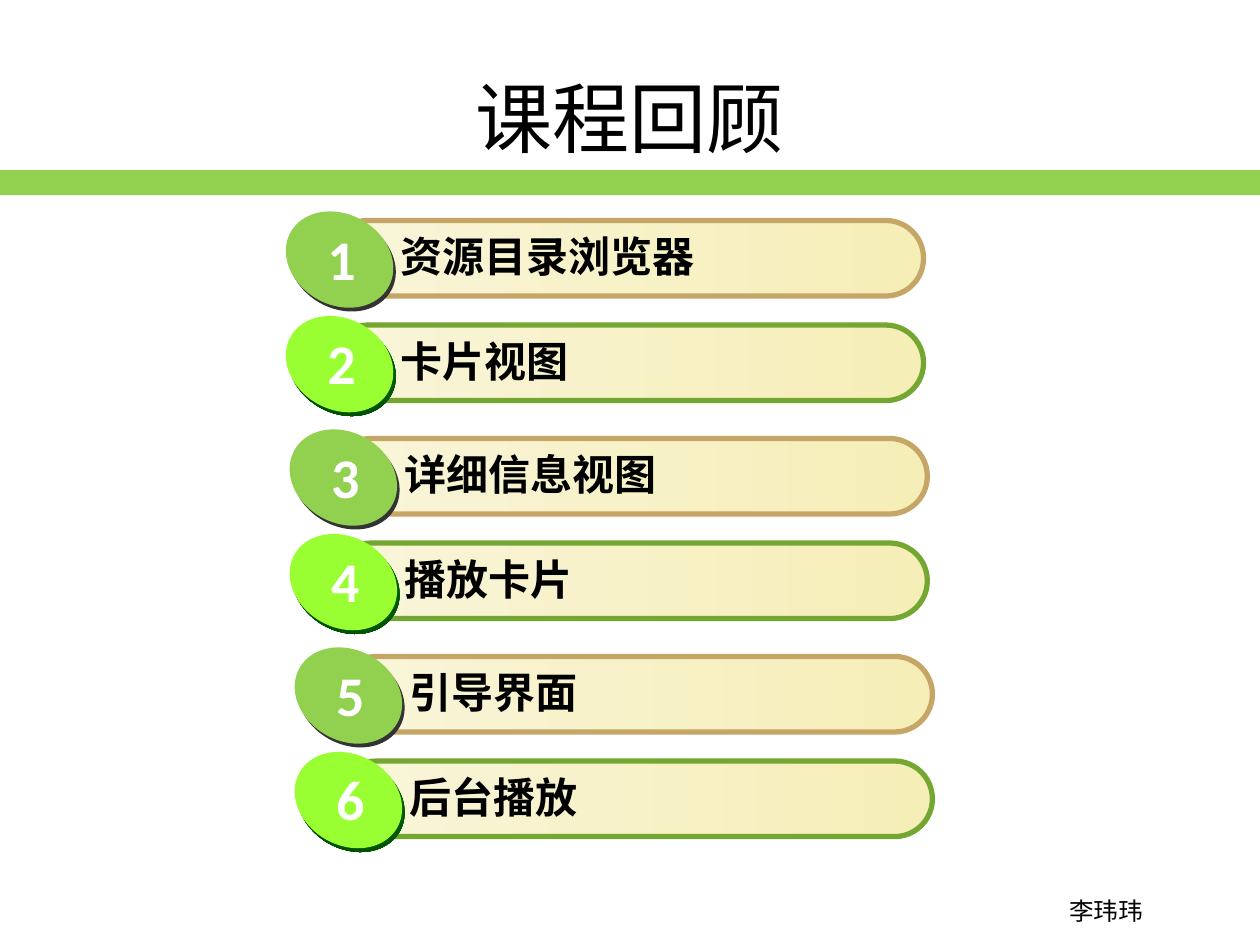
from lxml.etree import SubElement
from pptx import Presentation
from pptx.dml.color import RGBColor
from pptx.enum.shapes import MSO_SHAPE as SHAPE
from pptx.enum.text import MSO_ANCHOR as ANCHOR, MSO_AUTO_SIZE as AUTO, PP_ALIGN as ALIGN
from pptx.oxml.ns import qn
from pptx.util import Inches, Pt

COLORS = {
    "black": "000000", "white": "FFFFFF", "band": "92D050", "lime": "99FF33",
    "tan": "C5A667", "green": "74A731", "shade": "333333",
    "cream": "F9F5D9", "sand": "F5EEB7", "forest": "006600", "pine": "004900",
}
CJK = "Noto Sans CJK SC"


def add_text(parent, box, text, size, color="black", font="Calibri", bold=False,
             align=ALIGN.LEFT, anchor=ANCHOR.TOP, wrap=True):
    tf = parent.add_textbox(*map(Inches, box)).text_frame
    for key, value in {"word_wrap": wrap, "auto_size": AUTO.NONE,
                       "vertical_anchor": anchor}.items():
        setattr(tf, key, value)
    p = tf.paragraphs[0]
    p.alignment = align
    r = p.add_run()
    r.text = text
    for key, value in {"size": Pt(size), "bold": bold, "name": font}.items():
        setattr(r.font, key, value)
    r.font.color.rgb = RGBColor.from_string(COLORS[color])
    SubElement(r.font._element, qn("a:ea"), typeface=CJK)


def add_shape(parent, kind, box, fills, angle=0, line=None, rotation=0):
    s = parent.add_shape(kind, *map(Inches, box))
    s.shadow.inherit = False
    s.rotation = rotation
    if len(fills) == 1:
        s.fill.solid()
        s.fill.fore_color.rgb = RGBColor.from_string(COLORS[fills[0]])
    else:
        s.fill.gradient()
        s.fill.gradient_angle = angle
        for stop, name in zip(s.fill.gradient_stops, fills):
            stop.color.rgb = RGBColor.from_string(COLORS[name])
    if line:
        s.line.color.rgb = RGBColor.from_string(COLORS[line])
        s.line.width = Pt(3)
    else:
        s.line.fill.background()
    return s


prs = Presentation()
prs.slide_width, prs.slide_height = Inches(10), Inches(7.5)
shapes = prs.slides.add_slide(prs.slide_layouts[6]).shapes

# Footer name, green band and title
add_text(shapes, (8.31, 7.06, 0.94, 0.34), "李玮玮", 14, font=CJK, align=ALIGN.CENTER)
add_shape(shapes, SHAPE.RECTANGLE, (0, 1.35, 10, 0.2), ["band"])
add_text(shapes, (0.5, 0.3, 9, 1.25), "课程回顾", 44, font=CJK,
         align=ALIGN.CENTER, anchor=ANCHOR.MIDDLE)

# Numbered topics: pairs of rows, each pair stepped to the right
TOPICS = ["资源目录浏览器", "卡片视图", "详细信息视图", "播放卡片", "引导界面", "后台播放"]
PAIR_LEFT = [2.62, 2.65, 2.69]
TOP, PAIR_PITCH, ROW_PITCH = 1.75, 1.73, 0.83
STYLES = [
    {"line": "tan", "shade": ["shade"], "disc": ["band"]},
    {"line": "green", "shade": ["forest", "pine"], "disc": ["lime"]},
]
for i, topic in enumerate(TOPICS):
    pair, row = divmod(i, 2)
    style = STYLES[row]
    x = PAIR_LEFT[pair]
    y = TOP + pair * PAIR_PITCH + row * ROW_PITCH
    group = shapes.add_group_shape().shapes

    # Bar and its label
    bar = add_shape(group, SHAPE.ROUNDED_RECTANGLE, (x, y, 4.71, 0.6),
                    ["cream", "sand"], line=style["line"])
    bar.adjustments[0] = 0.5
    add_text(group, (x + 0.46, y + 0.03, 3.75, 0.51), topic, 24, bold=True)

    # Tilted disc over its shade, with the number
    for dx, dy, part in [(-0.35, -0.02, "shade"), (-0.37, -0.05, "disc")]:
        add_shape(group, SHAPE.OVAL, (x + dx, y + dy, 0.89, 0.72), style[part],
                  angle=270, rotation=29.3)
    add_text(group, (x - 0.12, y - 0.02, 0.44, 0.63), str(i + 1), 32,
             color="white", bold=True, wrap=False)

prs.save("out.pptx")
